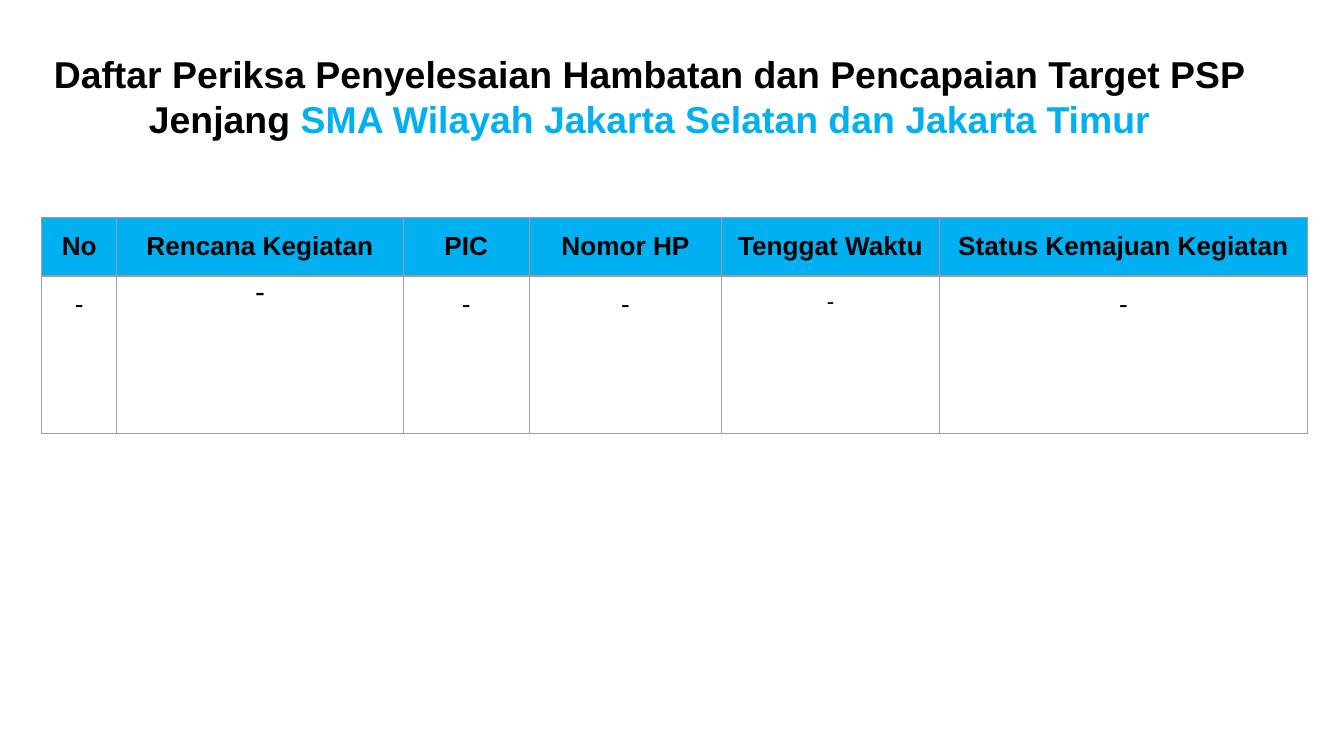
from lxml.etree import SubElement
from pptx import Presentation
from pptx.dml.color import RGBColor
from pptx.enum.text import MSO_ANCHOR as Anchor, MSO_AUTO_SIZE as AutoSize, PP_ALIGN as Align
from pptx.oxml.ns import qn
from pptx.util import Inches, Pt

BLACK = RGBColor(0x00, 0x00, 0x00)
BLUE = RGBColor(0x00, 0xB0, 0xF0)
GRAY = RGBColor(0x9E, 0x9E, 0x9E)

COLUMNS = [
    ("No", 0.56),
    ("Rencana Kegiatan", 2.13),
    ("PIC", 0.94),
    ("Nomor HP", 1.43),
    ("Tenggat Waktu", 1.62),
    ("Status Kemajuan Kegiatan", 2.74),
]
HEADER_HEIGHT, ENTRY_HEIGHT = 0.42, 1.17
ENTRY_SIZES = [14, 16, 14, 14, 12, 14]
PLAN_COLUMN = 1


class ChecklistSlide:
    font = "Arial"
    border_width = Pt(0.75)

    def __init__(self, slide):
        self.slide = slide

    def add_run(self, paragraph, text, size, color=BLACK, bold=False):
        run = paragraph.add_run()
        run.text = text
        run.font.name = self.font
        run.font.size = Pt(size)
        run.font.bold = bold
        run.font.color.rgb = color

    def set_margins(self, holder, side=0.1, vertical=0.1):
        holder.margin_left = holder.margin_right = Inches(side)
        holder.margin_top = holder.margin_bottom = Inches(vertical)

    def title(self, left, top, width, height, parts):
        title = self.slide.shapes.title
        title.left, title.top = Inches(left), Inches(top)
        title.width, title.height = Inches(width), Inches(height)
        frame = title.text_frame
        frame.word_wrap = True
        frame.auto_size = AutoSize.SHAPE_TO_FIT_TEXT
        frame.vertical_anchor = Anchor.TOP
        self.set_margins(frame)
        heading = frame.paragraphs[0]
        heading.alignment = Align.CENTER
        for text, color in parts:
            self.add_run(heading, text, 20, color, bold=True)

    def border(self, cell):
        """Draw all four sides; the lines must precede the fill in the cell XML."""
        properties = cell._tc.get_or_add_tcPr()
        for side in ("a:lnL", "a:lnR", "a:lnT", "a:lnB"):
            line = SubElement(properties, qn(side), w=str(self.border_width))
            fill = SubElement(line, qn("a:solidFill"))
            SubElement(fill, qn("a:srgbClr"), val=str(GRAY))

    def cell(self, cell, text, size, bold=False, fill=None, anchor=Anchor.TOP):
        self.border(cell)
        if fill is None:
            cell.fill.background()
        else:
            cell.fill.solid()
            cell.fill.fore_color.rgb = fill
        cell.vertical_anchor = anchor
        self.set_margins(cell)
        paragraph = cell.text_frame.paragraphs[0]
        paragraph.alignment = Align.CENTER
        self.add_run(paragraph, text, size, bold=bold)

    def table(self, left, top):
        width = sum(column_width for _, column_width in COLUMNS)
        checklist = self.slide.shapes.add_table(
            2, len(COLUMNS), Inches(left), Inches(top),
            Inches(width), Inches(HEADER_HEIGHT + ENTRY_HEIGHT)).table
        checklist.first_row = False
        checklist.horz_banding = False
        checklist.rows[0].height = Inches(HEADER_HEIGHT)
        checklist.rows[1].height = Inches(ENTRY_HEIGHT)
        for index, (heading, column_width) in enumerate(COLUMNS):
            checklist.columns[index].width = Inches(column_width)
            self.cell(checklist.cell(0, index), heading, 14, bold=True,
                      fill=BLUE, anchor=Anchor.MIDDLE)
            self.cell(checklist.cell(1, index), "-", ENTRY_SIZES[index])
        self.set_margins(checklist.cell(1, PLAN_COLUMN), 0.07, 0)


def main():
    deck = Presentation()
    deck.slide_width = Inches(10)
    deck.slide_height = deck.slide_width * 9 // 16
    title_only = deck.slide_layouts[5]
    checklist = ChecklistSlide(deck.slides.add_slide(title_only))
    checklist.title(0.19, 0.28, 9.29, 0.88, [
        ("Daftar Periksa Penyelesaian Hambatan dan Pencapaian Target PSP Jenjang ", BLACK),
        ("SMA Wilayah Jakarta Selatan dan Jakarta Timur", BLUE),
    ])
    checklist.table(0.31, 1.62)
    deck.save("out.pptx")


if __name__ == "__main__":
    main()
